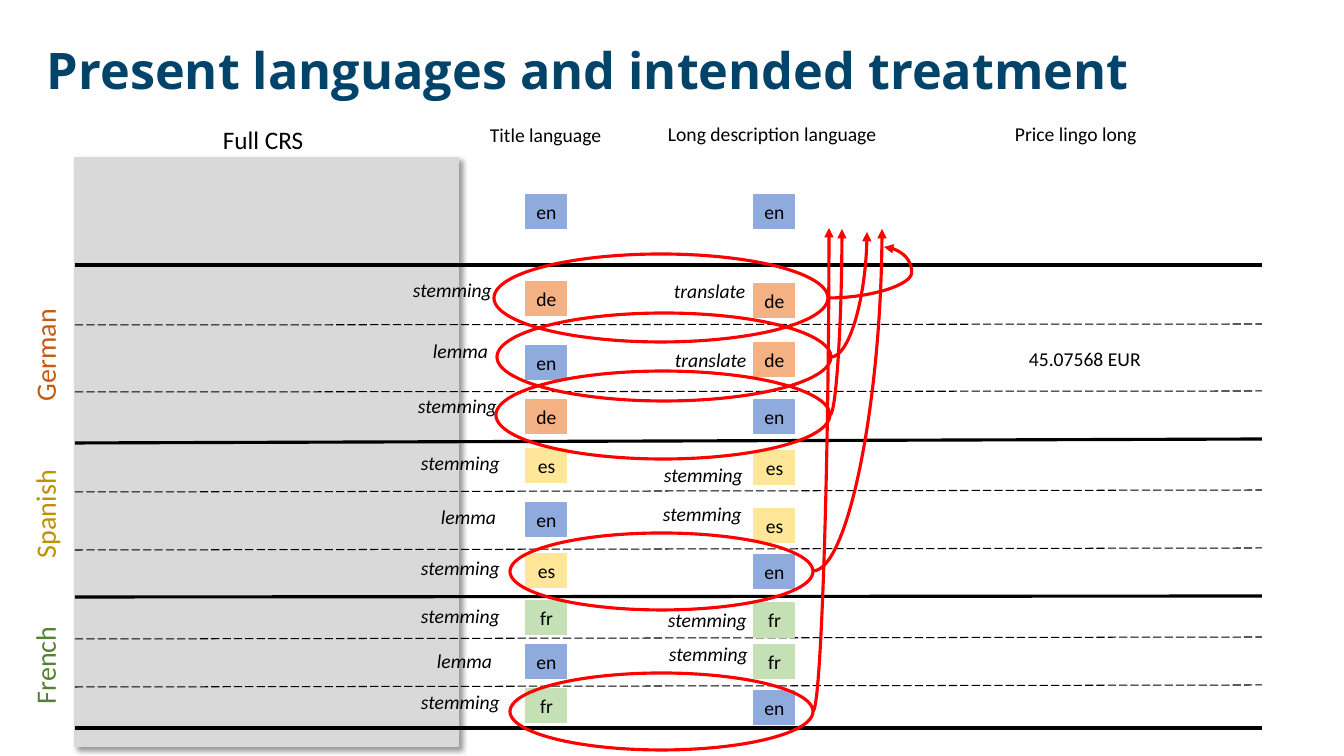
from lxml.etree import SubElement
from pptx import Presentation
from pptx.dml.color import RGBColor
from pptx.enum.dml import MSO_LINE_DASH_STYLE as Dash
from pptx.enum.shapes import MSO_CONNECTOR as Connector, MSO_SHAPE as Shape
from pptx.enum.text import MSO_ANCHOR as Anchor, MSO_AUTO_SIZE as AutoSize, PP_ALIGN as Align
from pptx.oxml.ns import qn
from pptx.util import Emu, Pt

EMU_PER_PX = 914400 / 100.8
COLORS = {
    "title": "024469", "ink": "000000", "panel": "D9D9D9", "mark": "FF0000",
    "en": "8FAADC", "de": "F4B183", "es": "FFE699", "fr": "C5E0B4",
    "German": "C55A11", "Spanish": "BF9000", "French": "548235",
}
TITLE_X, LONG_X = 526, 754
TILE_W, TILE_H, LABEL_H = 41, 34, 34
RULE_LEFT, RULE_RIGHT = 75, 1262
WORD_WIDTHS = {"stemming": 100, "lemma": 76, "translate": 93}

# text, left, top, width, height, size
HEADINGS = [
    ("Full CRS", 213, 119, 108, 40, 18),
    ("Title language", 480, 118, 133, LABEL_H, 14),
    ("Long description language", 658, 117, 231, LABEL_H, 14),
    ("Price lingo long", 1005, 117, 153, LABEL_H, 14),
    ("45.07568 EUR", 1019, 342, 138, LABEL_H, 14),
]
# left y, right y
SECTION_RULES = [(265, 265), (443, 439), (597, 596), (728, 728)]
ROW_RULES = [(325, 324), (392, 391), (492, 490), (550, 548), (639, 637), (687, 685)]
# title language and top, long description language and top
LANGUAGE_ROWS = [
    ("en", 195, "en", 195),
    ("de", 282, "de", 284), ("en", 346, "de", 343), ("de", 400, "en", 400),
    ("es", 449, "es", 451), ("en", 503, "es", 509), ("es", 554, "en", 555),
    ("fr", 601, "fr", 603), ("en", 645, "fr", 645), ("fr", 689, "en", 691),
]
TREATMENTS = [
    ("stemming", 403, 273), ("lemma", 423, 334), ("stemming", 408, 389),
    ("stemming", 411, 446), ("lemma", 431, 500), ("stemming", 411, 551),
    ("stemming", 411, 599), ("lemma", 427, 644), ("stemming", 411, 685),
    ("translate", 664, 274), ("translate", 665, 343),
    ("stemming", 654, 458), ("stemming", 653, 497),
    ("stemming", 658, 603), ("stemming", 659, 637),
]
# ellipse left, top, width, height; arrow tip; bend beyond the tip, if any
TRANSFERS = [
    ((494, 254, 334, 88), (884, 247), 149500),
    ((497, 313, 334, 88), (867, 232), None),
    ((496, 371, 334, 88), (842, 229), None),
    ((510, 533, 303, 77), (882, 229), None),
    ((510, 673, 303, 77), (829, 228), None),
]
SECTION_TOPS = {"German": 320, "Spanish": 477, "French": 623}


def px(*lengths):
    return [Emu(round(length * EMU_PER_PX)) for length in lengths]


def rgb(name):
    return RGBColor.from_string(COLORS[name])


class SlideBuilder:
    font = "Calibri"

    def __init__(self, deck):
        self.shapes = deck.slides.add_slide(deck.slide_layouts[6]).shapes

    def add_text(self, frame, text, size, color="ink", bold=False, italic=False, font=None):
        paragraph = frame.paragraphs[0]
        run = paragraph.add_run()
        run.text = text
        run.font.name = font or self.font
        run.font.size = Pt(size)
        run.font.bold, run.font.italic = bold, italic
        run.font.color.rgb = rgb(color)
        return paragraph

    def label(self, text, box, size=14, wrap=False, rotation=0, **style):
        holder = self.shapes.add_textbox(*px(*box))
        holder.rotation = rotation
        frame = holder.text_frame
        frame.word_wrap = wrap
        frame.auto_size = AutoSize.SHAPE_TO_FIT_TEXT
        self.add_text(frame, text, size, **style)
        return frame

    def outline(self, line, color, width):
        line.color.rgb = rgb(color)
        line.width = Pt(width)

    def block(self, kind, box, fill, line, width):
        shape = self.shapes.add_shape(kind, *px(*box))
        shape.shadow.inherit = False
        if fill:
            shape.fill.solid()
            shape.fill.fore_color.rgb = rgb(fill)
        else:
            shape.fill.background()
        self.outline(shape.line, line, width)
        return shape

    def panel(self, box):
        """Grey block with a soft shadow to the lower right."""
        shape = self.block(Shape.RECTANGLE, box, "panel", "panel", 1)
        effects = shape._element.spPr.find(qn("a:effectLst"))
        shadow = SubElement(effects, qn("a:outerShdw"), blurRad=str(Pt(4)),
                            dist=str(Pt(3)), dir="2700000", algn="tl", rotWithShape="0")
        shade = SubElement(shadow, qn("a:srgbClr"), val=COLORS["ink"])
        SubElement(shade, qn("a:alpha"), val="40000")

    def language_tile(self, language, left, top):
        tile = self.block(Shape.RECTANGLE, (left, top, TILE_W, TILE_H), language, language, 0.75)
        frame = tile.text_frame
        frame.word_wrap = False
        frame.vertical_anchor = Anchor.MIDDLE
        self.add_text(frame, language, 14).alignment = Align.CENTER

    def connector(self, kind, start, end, color, width):
        link = self.shapes.add_connector(kind, *px(*start, *end))
        self.outline(link.line, color, width)
        SubElement(link._element.spPr, qn("a:effectLst"))
        return link

    def rule(self, left_y, right_y, dashed=False):
        link = self.connector(Connector.STRAIGHT, (RULE_LEFT, left_y), (RULE_RIGHT, right_y),
                              "ink", 0.75 if dashed else 2.25)
        if dashed:
            link.line.dash_style = Dash.LONG_DASH

    def transfer(self, ellipse, tip, bend):
        """Red ellipse round a row, with a curved arrow from its right end."""
        self.block(Shape.OVAL, ellipse, None, "mark", 2.25)
        left, top, width, height = ellipse
        link = self.connector(Connector.CURVE, (left + width, top + height // 2), tip,
                              "mark", 2.25)
        properties = link._element.spPr
        geometry = properties.find(qn("a:prstGeom"))
        if bend:
            guides = geometry.find(qn("a:avLst"))
            SubElement(guides, qn("a:gd"), name="adj1", fmla=f"val {bend}")
        else:
            geometry.set("prst", "curvedConnector2")
        SubElement(properties.find(qn("a:ln")), qn("a:tailEnd"), type="triangle")


def main():
    deck = Presentation()
    deck.slide_width, deck.slide_height = px(1344, 756)
    slide = SlideBuilder(deck)

    title = slide.label("Present languages and intended treatment", (37, 37, 1259, 72), 36,
                        wrap=True, color="title", bold=True, font="Open Sans")
    title.vertical_anchor = Anchor.MIDDLE
    title.paragraphs[0].line_spacing = 0.9

    slide.panel((75, 158, 383, 588))
    for text, *box, size in HEADINGS:
        slide.label(text, box, size)
    for ends in SECTION_RULES:
        slide.rule(*ends)
    for ends in ROW_RULES:
        slide.rule(*ends, dashed=True)
    for title_language, title_top, long_language, long_top in LANGUAGE_ROWS:
        slide.language_tile(title_language, TITLE_X, title_top)
        slide.language_tile(long_language, LONG_X, long_top)
    for ellipse, tip, bend in TRANSFERS:
        slide.transfer(ellipse, tip, bend)
    for section, top in SECTION_TOPS.items():
        slide.label(section, (-24, top, 138, 44), 20, wrap=True, rotation=270, color=section)
    for word, left, top in TREATMENTS:
        slide.label(word, (left, top, WORD_WIDTHS[word], LABEL_H), italic=True)

    deck.save("out.pptx")


if __name__ == "__main__":
    main()
